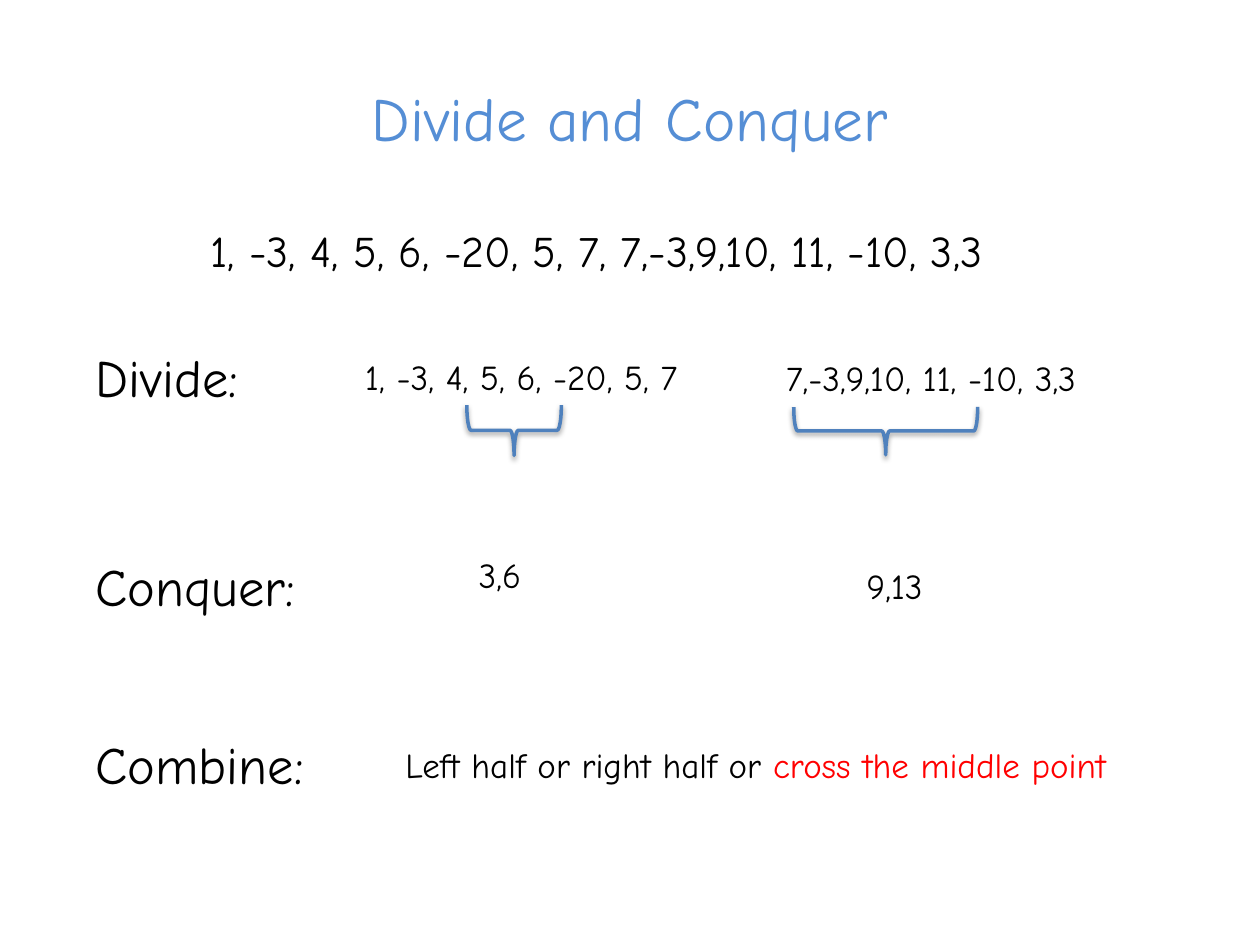
from dataclasses import dataclass

from lxml.etree import SubElement
from pptx import Presentation
from pptx.dml.color import RGBColor
from pptx.enum.shapes import MSO_SHAPE as Shape
from pptx.enum.text import MSO_ANCHOR as Anchor, PP_ALIGN as Align
from pptx.oxml.ns import qn
from pptx.util import Inches, Pt


@dataclass(frozen=True)
class Theme:
    """Hold the font, colours and type sizes of the slide."""
    font: str = "Comic Neue"
    ink: str = "000000"
    title: str = "558ED5"
    accent: str = "FF0000"
    brace: str = "4F81BD"
    title_size: int = 35
    label_size: int = 30
    list_size: int = 25
    detail_size: int = 20


THEME = Theme()


def add_text(slide, box, runs, size, color=THEME.ink, align=Align.LEFT, anchor=Anchor.TOP):
    """Add a one-paragraph text box; each run is its text and an optional own colour."""
    frame = slide.shapes.add_textbox(*map(Inches, box)).text_frame
    frame.word_wrap = True
    frame.vertical_anchor = anchor
    paragraph = frame.paragraphs[0]
    paragraph.alignment = align
    paragraph.font.name = THEME.font
    paragraph.font.size = Pt(size)
    for text, own_color in runs:
        run = paragraph.add_run()
        run.text = text
        run.font.color.rgb = RGBColor.from_string(own_color or color)


def add_shadow(shape):
    """Give a shape a soft black shadow that falls straight down."""
    shape.shadow.inherit = False
    effects = shape._element.spPr.find(qn("a:effectLst"))
    shadow = SubElement(effects, qn("a:outerShdw"), blurRad=str(Pt(3.1)),
                        dist=str(Pt(1.6)), dir="5400000", rotWithShape="0")
    color = SubElement(shadow, qn("a:srgbClr"), val="000000")
    SubElement(color, qn("a:alpha"), val="38000")


def add_brace(slide, box):
    """Add a brace that opens upwards, given its box before the turn."""
    brace = slide.shapes.add_shape(Shape.LEFT_BRACE, *map(Inches, box))
    brace.rotation = 270
    brace.fill.background()
    brace.line.color.rgb = RGBColor.from_string(THEME.brace)
    brace.line.width = Pt(2)
    add_shadow(brace)


def main():
    """Build the slide and save it."""
    presentation = Presentation()
    presentation.slide_width, presentation.slide_height = Inches(10), Inches(7.5)
    slide = presentation.slides.add_slide(presentation.slide_layouts[6])

    add_text(slide, (0.5, 0.57, 9, 0.71), [("Divide and Conquer", None)],
             THEME.title_size, THEME.title, Align.CENTER, Anchor.MIDDLE)
    add_text(slide, (1.57, 1.73, 7.63, 0.52),
             [("1, -3, 4, 5, 6, -20, 5, 7, 7,-3,9,10, 11, -10, 3,3", None)], THEME.list_size)

    for label, top in (("Divide:", 2.69), ("Conquer:", 4.35), ("Combine:", 5.76)):
        add_text(slide, (0.66, top, 8.69, 0.61), [(label, None)], THEME.label_size)

    details = (
        (2.8, 2.77, 3.29, [("1, -3, 4, 5, 6, -20, 5, 7", None)]),
        (6.14, 2.78, 3.86, [("7,-3,9,10, 11, -10, 3,3", None)]),
        (3.7, 4.34, 1.65, [("3,6", None)]),
        (6.78, 4.43, 2.42, [("9,13", None)]),
        (3.12, 5.85, 6.87, [("Left half or right half or ", None),
                            ("cross the middle point", THEME.accent)]),
    )
    for left, top, width, runs in details:
        add_text(slide, (left, top, width, 0.44), runs, THEME.detail_size)

    for box in ((3.88, 3.04, 0.4, 0.75), (6.84, 2.69, 0.38, 1.46)):
        add_brace(slide, box)

    presentation.save("out.pptx")


if __name__ == "__main__":
    main()
